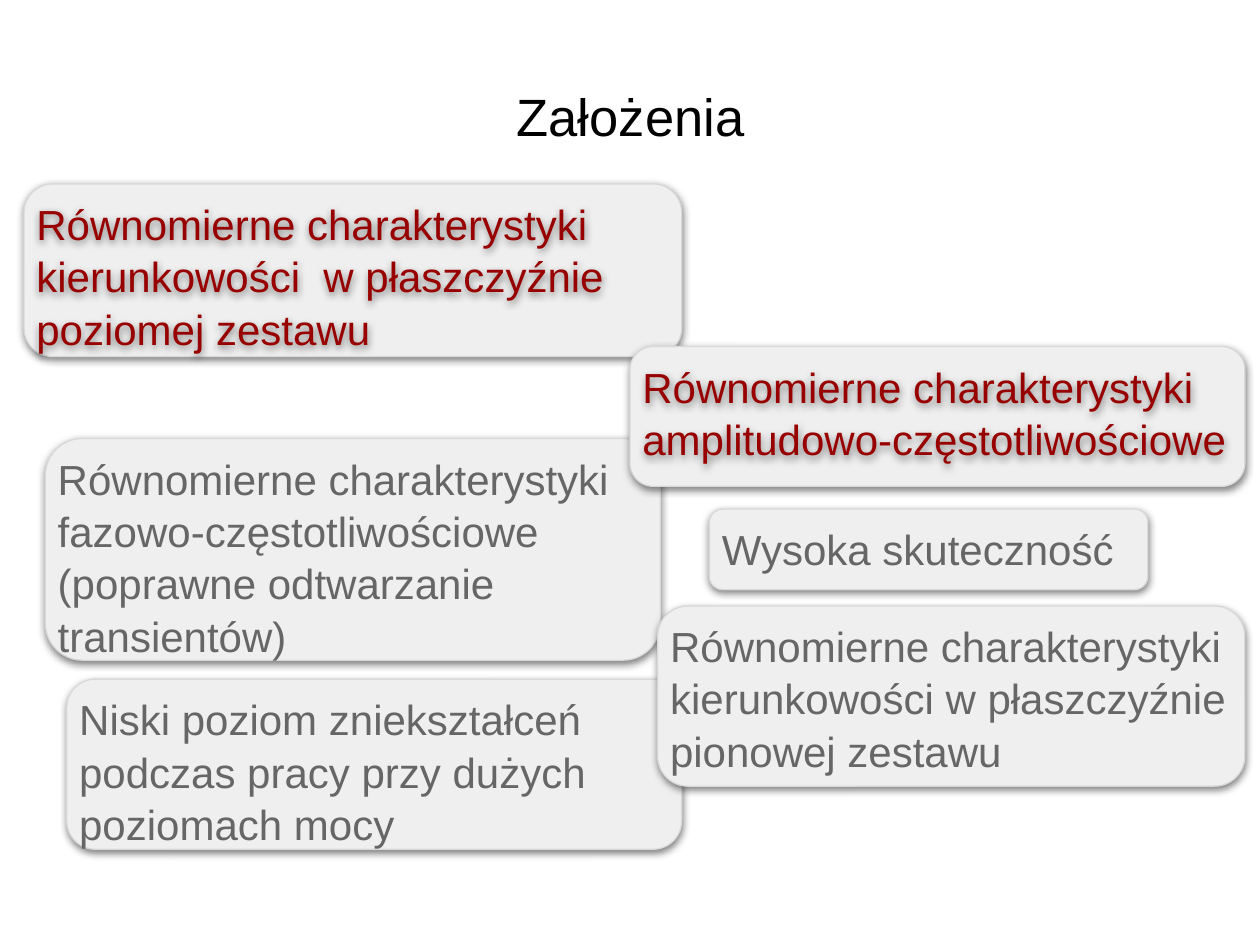
import pptx
import pptx.util
import pptx.dml.color
import pptx.enum.shapes
import pptx.enum.text
import pptx.oxml
import pptx.oxml.ns
from dataclasses import dataclass


@dataclass(frozen=True)
class Theme:
    font: str = "Arial"
    title_size: int = 30
    card_size: int = 24
    title: str = "000000"
    key: str = "980000"
    muted: str = "666666"
    fill: str = "EFEFEF"
    line: str = "D9D9D9"
    line_width: float = 0.75
    line_spacing: float = 1.04


THEME = Theme()
COLS, ROWS = 100, 75
UNIT = pptx.util.Inches(0.1)

TITLE = ("Założenia", (7.5, 2.9, 85.1, 12.5))
# Text, is it a key assumption, box in grid columns and rows; back to front
CARDS = [
    ("Równomierne charakterystyki fazowo-częstotliwościowe "
     "(poprawne odtwarzanie transientów)", False, (3.6, 34.8, 48.8, 17.6)),
    ("Równomierne charakterystyki kierunkowości  w płaszczyźnie "
     "poziomej zestawu", True, (1.9, 14.6, 52.2, 13.7)),
    ("Równomierne charakterystyki amplitudowo-częstotliwościowe",
     True, (50, 27.5, 48.8, 11.1)),
    ("Niski poziom zniekształceń podczas pracy przy dużych poziomach mocy",
     False, (5.3, 53.9, 48.8, 13.5)),
    ("Wysoka skuteczność", False, (56.3, 40.4, 34.8, 6.4)),
    ("Równomierne charakterystyki kierunkowości w płaszczyźnie "
     "pionowej zestawu", False, (52.2, 48.1, 46.6, 14.3)),
]


def grid(box):
    """Turn grid columns and rows into slide lengths."""
    return [round(n * UNIT) for n in box]


def rgb(value):
    return pptx.dml.color.RGBColor.from_string(value)


def add_shadow(sp):
    sp.shadow.inherit = False
    effects = sp._element.spPr.find(pptx.oxml.ns.qn("a:effectLst"))
    effects.append(pptx.oxml.parse_xml(
        f'<a:outerShdw {pptx.oxml.ns.nsdecls("a")} blurRad="57150" '
        'dist="19050" dir="5400000" algn="bl" rotWithShape="0">'
        '<a:srgbClr val="000000"><a:alpha val="50000"/></a:srgbClr>'
        '</a:outerShdw>'))


def write(tf, text, size, color, inset):
    tf.word_wrap = True
    tf.auto_size = pptx.enum.text.MSO_AUTO_SIZE.NONE
    tf.margin_left = tf.margin_right = pptx.util.Inches(inset)
    tf.margin_top = tf.margin_bottom = pptx.util.Inches(inset)
    p = tf.paragraphs[0]
    r = p.add_run()
    r.text = text
    r.font.name = THEME.font
    r.font.size = pptx.util.Pt(size)
    r.font.color.rgb = rgb(color)
    return p


def add_title(s, text, box):
    sp = s.shapes.title
    sp.left, sp.top, sp.width, sp.height = grid(box)
    tf = sp.text_frame
    tf.vertical_anchor = pptx.enum.text.MSO_ANCHOR.MIDDLE
    p = write(tf, text, THEME.title_size, THEME.title, 0.05)
    p.alignment = pptx.enum.text.PP_ALIGN.CENTER


def add_card(s, text, is_key, box):
    """Group a rounded panel with its text; key text casts a shadow too."""
    group = s.shapes.add_group_shape()
    panel = group.shapes.add_shape(
        pptx.enum.shapes.MSO_SHAPE.FLOWCHART_ALTERNATE_PROCESS, *grid(box))
    panel.fill.solid()
    panel.fill.fore_color.rgb = rgb(THEME.fill)
    panel.line.color.rgb = rgb(THEME.line)
    panel.line.width = pptx.util.Pt(THEME.line_width)
    add_shadow(panel)
    label = group.shapes.add_textbox(*grid(box))
    color = THEME.key if is_key else THEME.muted
    p = write(label.text_frame, text, THEME.card_size, color, 0.1)
    p.line_spacing = THEME.line_spacing
    if is_key:
        add_shadow(label)


def main():
    prs = pptx.Presentation()
    prs.slide_width, prs.slide_height = COLS * UNIT, ROWS * UNIT
    s = prs.slides.add_slide(prs.slide_layouts.get_by_name("Title Only"))
    add_title(s, *TITLE)
    for card in CARDS:
        add_card(s, *card)
    prs.save("out.pptx")


if __name__ == "__main__":
    main()
